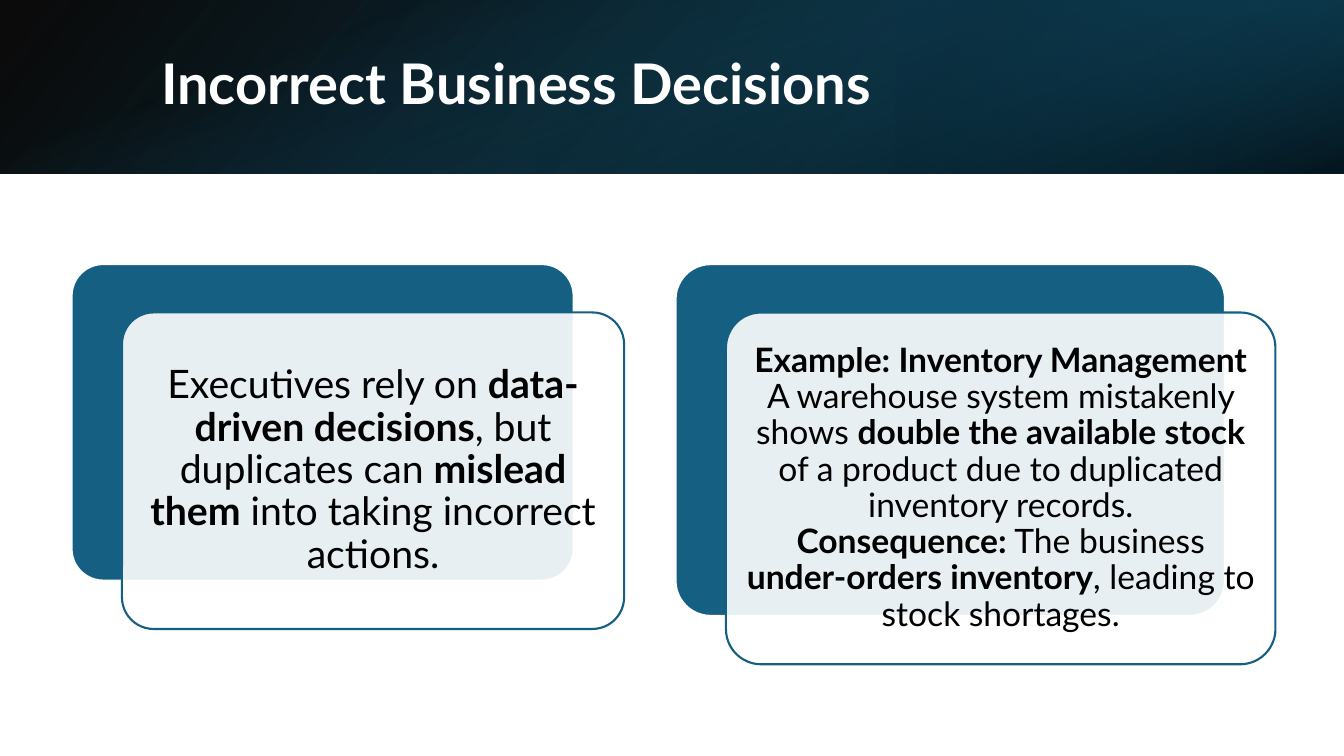
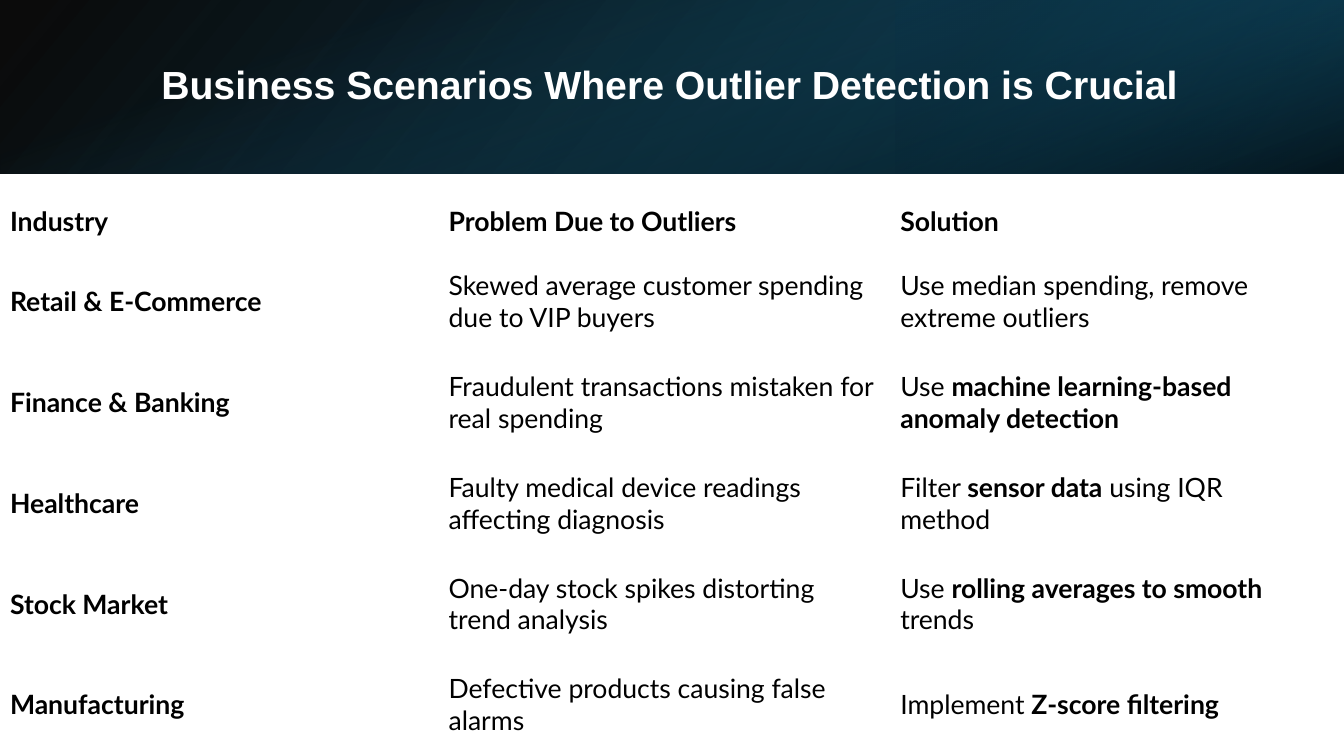
from pptx import Presentation
from pptx.dml.color import RGBColor
from pptx.enum.shapes import MSO_SHAPE
from pptx.enum.text import MSO_ANCHOR, MSO_AUTO_SIZE, PP_ALIGN
from pptx.oxml.ns import qn
from pptx.oxml.xmlchemy import OxmlElement
from pptx.util import Inches, Pt

RECT, ROUNDED = MSO_SHAPE.RECTANGLE, MSO_SHAPE.ROUNDED_RECTANGLE
MIDDLE = MSO_ANCHOR.MIDDLE
LEFT, CENTER = PP_ALIGN.LEFT, PP_ALIGN.CENTER
NO_FIT = MSO_AUTO_SIZE.NONE
TITLE_ONLY = 5

# Theme: colours, fonts and type sizes
THEME = {
    "black": "000000", "white": "FFFFFF", "accent": "156082",
    "accent_dark": "104862", "navy": "0B3041",
    "font": "Lato", "title_size": 40, "table_size": 19,
    "line_spacing": 0.9, "line_width": 1.5,
}
SLIDE_W, SLIDE_H, HEADER_H = 13.33, 7.5, 1.72
TITLE_BOX = (1.5, 0.38, 10.98, 0.96)

# Header bands: box, rotation, mirrored, clockwise angle,
# then stops of (position, colour, opacity %)
HEADER_BANDS = [
    ((0, 0, SLIDE_W, HEADER_H), 0, True, 140,
     [(0, "black", 96), (1, "accent_dark", 100)]),
    ((SLIDE_W * 2 / 3, 0, SLIDE_W / 3, HEADER_H), 180, True, 320,
     [(0.19, "navy", 68), (1, "accent", 79)]),
    (((SLIDE_W - HEADER_H) / 2, (HEADER_H - SLIDE_W) / 2, HEADER_H, SLIDE_W),
     90, False, 340, [(0.23, "accent", 0), (0.99, "black", 74)]),
]

# Cards: left, width, height, text size, inset, text (** marks bold)
CARD_TOP, CARD_OFFSET = 2.62, (0.5, 0.48)
CARDS = [
    (0.71, 4.98, 3.14, 28, 0.12,
     "Executives rely on **data-driven decisions**, but duplicates can "
     "**mislead them** into taking incorrect actions."),
    (6.7, 5.45, 3.49, 24, 0.1,
     "**Example: Inventory Management**\n"
     "A warehouse system mistakenly shows **double the available stock** "
     "of a product due to duplicated inventory records.\n"
     "**Consequence:** The business **under-orders inventory**, "
     "leading to stock shortages."),
]

# Table
TABLE_BOX = (0, 1.9, 13.18, 5.59)
COL_WIDTHS = (4.35, 4.48, 4.35)
HEAD_ROW_H, ROW_H = 0.59, 1
SCENARIOS = [
    ("**Industry**", "**Problem Due to Outliers**", "**Solution**"),
    ("**Retail & E-Commerce**",
     "Skewed average customer spending due to VIP buyers",
     "Use median spending, remove extreme outliers"),
    ("**Finance & Banking**",
     "Fraudulent transactions mistaken for real spending",
     "Use **machine learning-based anomaly detection**"),
    ("**Healthcare**",
     "Faulty medical device readings affecting diagnosis",
     "Filter **sensor data** using IQR method"),
    ("**Stock Market**",
     "One-day stock spikes distorting trend analysis",
     "Use **rolling averages to smooth** trends"),
    ("**Manufacturing**",
     "Defective products causing false alarms",
     "Implement **Z-score filtering**"),
]


def rgb(name):
    return RGBColor.from_string(THEME[name])


def inches(box):
    return [Inches(v) for v in box]


def set_attrs(obj, values):
    for name, value in values.items():
        setattr(obj, name, value)


def set_alpha(color, percent):
    alpha = OxmlElement("a:alpha")
    alpha.set("val", str(percent * 1000))
    color.append(alpha)


def write_rich(p, text, size, color="black", font=THEME["font"]):
    """Write text with **bold** marks and line breaks into a paragraph."""
    for i, part in enumerate(text.split("**")):
        for j, line in enumerate(part.split("\n")):
            if j:
                p.add_line_break()
            if line:
                r = p.add_run()
                r.text = line
                set_attrs(r.font, {"name": font, "size": Pt(size),
                                   "bold": i % 2 == 1})
                r.font.color.rgb = rgb(color)


def add_plain_shape(slide, kind, box):
    sp = slide.shapes.add_shape(kind, *inches(box))
    sp.shadow.inherit = False
    return sp


def add_band(slide, box, rotation, mirrored, angle, stops):
    sp = add_plain_shape(slide, RECT, box)
    sp.rotation = rotation
    if mirrored:
        sp.element.spPr.find(qn("a:xfrm")).set("flipH", "1")
    sp.fill.gradient()
    sp.fill.gradient_angle = 360 - angle
    for stop, (position, color, _) in zip(sp.fill.gradient_stops, stops):
        stop.position = position
        stop.color.rgb = rgb(color)
    colors = list(sp.element.spPr.iter(qn("a:srgbClr")))
    for color, (_, _, opacity) in zip(colors, stops):
        set_alpha(color, opacity)
    sp.line.fill.background()


def add_titled_slide(prs, text, size=THEME["title_size"], font=THEME["font"]):
    slide = prs.slides.add_slide(prs.slide_layouts[TITLE_ONLY])
    for band in HEADER_BANDS:
        add_band(slide, *band)
    title = slide.shapes.title
    title.element.getparent().append(title.element)  # in front of the bands
    set_attrs(title, dict(zip(("left", "top", "width", "height"),
                              inches(TITLE_BOX))))
    tf = title.text_frame
    set_attrs(tf, {"vertical_anchor": MIDDLE, "word_wrap": True,
                   "auto_size": NO_FIT})
    p = tf.paragraphs[0]
    set_attrs(p, {"alignment": LEFT, "line_spacing": THEME["line_spacing"]})
    write_rich(p, f"**{text}**", size, "white", font)
    return slide


def add_panel(slide, box, fill, line):
    sp = add_plain_shape(slide, ROUNDED, box)
    sp.adjustments[0] = 0.1
    sp.fill.solid()
    sp.fill.fore_color.rgb = rgb(fill)
    sp.line.color.rgb = rgb(line)
    sp.line.width = Pt(THEME["line_width"])
    return sp


def add_card(slide, left, width, height, size, inset, text):
    dx, dy = CARD_OFFSET
    add_panel(slide, (left, CARD_TOP, width, height), "accent", "white")
    front = add_panel(slide, (left + dx, CARD_TOP + dy, width, height),
                      "white", "accent")
    set_alpha(front.element.spPr.find(qn("a:solidFill"))[0], 90)
    tf = front.text_frame
    set_attrs(tf, {"word_wrap": True, "vertical_anchor": MIDDLE})
    set_attrs(tf, {f"margin_{side}": Inches(inset)
                   for side in ("left", "top", "right", "bottom")})
    p = tf.paragraphs[0]
    set_attrs(p, {"alignment": CENTER, "line_spacing": THEME["line_spacing"]})
    write_rich(p, text, size)


def add_text_table(slide, rows):
    table = slide.shapes.add_table(len(rows), len(COL_WIDTHS),
                                   *inches(TABLE_BOX)).table
    set_attrs(table, {"first_row": False, "horz_banding": False})
    for column, width in zip(table.columns, COL_WIDTHS):
        column.width = Inches(width)
    for i, (row, texts) in enumerate(zip(table.rows, rows)):
        row.height = Inches(ROW_H if i else HEAD_ROW_H)
        for cell, text in zip(row.cells, texts):
            cell.fill.background()
            cell.vertical_anchor = MIDDLE
            write_rich(cell.text_frame.paragraphs[0], text,
                       THEME["table_size"])


def main():
    prs = Presentation()
    prs.slide_width, prs.slide_height = Inches(SLIDE_W), Inches(SLIDE_H)

    # Decisions slide
    slide = add_titled_slide(prs, "Incorrect Business Decisions")
    for card in CARDS:
        add_card(slide, *card)

    # Scenarios slide
    slide = add_titled_slide(
        prs, "Business Scenarios Where Outlier Detection is Crucial",
        size=28, font="Arial")
    add_text_table(slide, SCENARIOS)

    prs.save("out.pptx")


if __name__ == "__main__":
    main()
